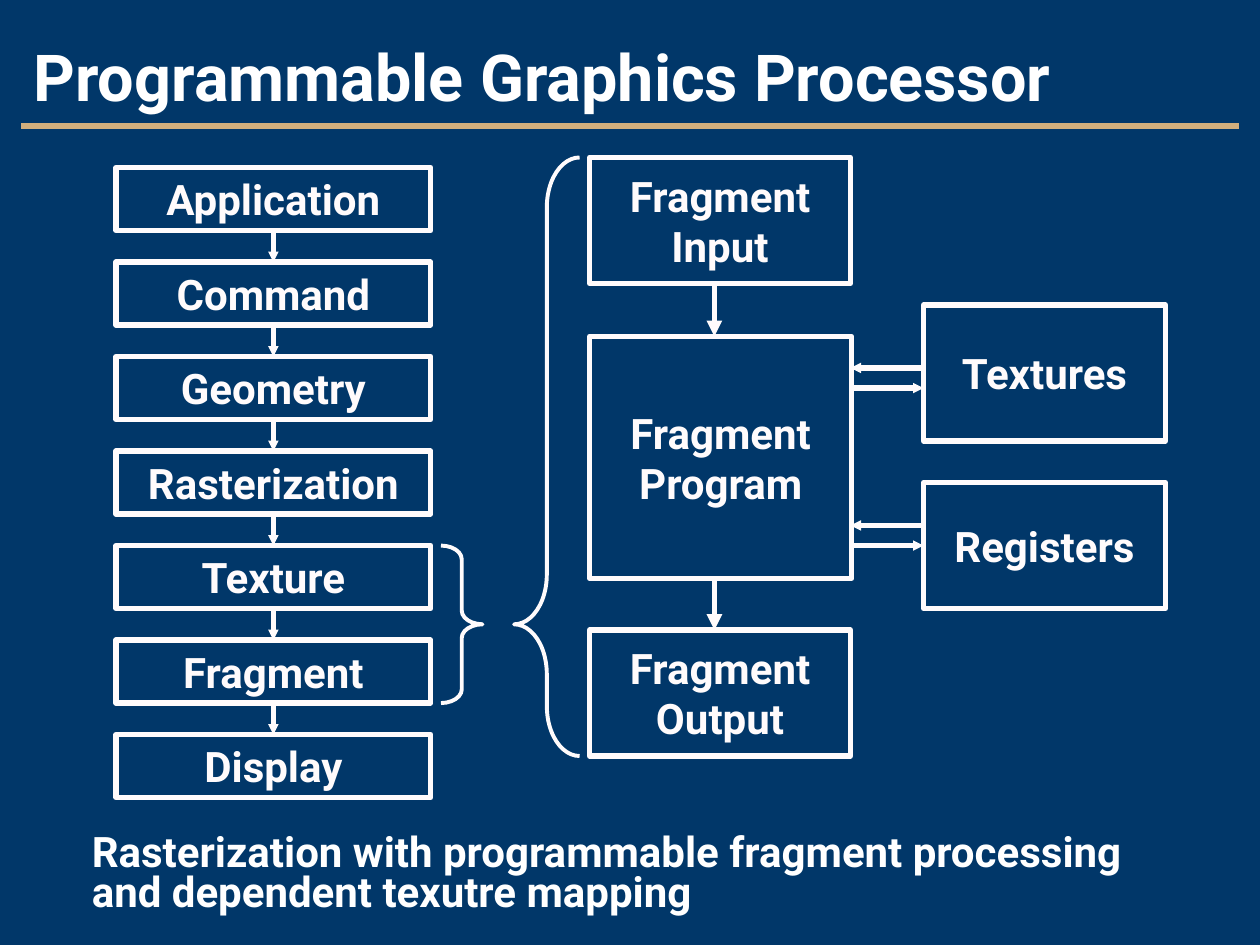
from itertools import pairwise

from lxml import etree
from pptx import Presentation
from pptx.dml.color import RGBColor
from pptx.enum.shapes import MSO_CONNECTOR, MSO_SHAPE
from pptx.enum.text import MSO_ANCHOR, PP_ALIGN
from pptx.oxml.ns import qn
from pptx.util import Inches, Pt

RECTANGLE = MSO_SHAPE.RECTANGLE
LEFT_BRACE, RIGHT_BRACE = MSO_SHAPE.LEFT_BRACE, MSO_SHAPE.RIGHT_BRACE
STRAIGHT = MSO_CONNECTOR.STRAIGHT
TOP, MIDDLE = MSO_ANCHOR.TOP, MSO_ANCHOR.MIDDLE
LEFT, CENTER = PP_ALIGN.LEFT, PP_ALIGN.CENTER
TOP_SIDE, LEFT_SIDE, BOTTOM_SIDE = 0, 1, 2


def color(value):
    return RGBColor.from_string(value)


def write(frame, text, size=24, ink="FFFBFC", font="Roboto", align=LEFT,
          anchor=TOP, spacing=1.0, wrap=True):
    frame.word_wrap = wrap
    frame.vertical_anchor = anchor
    for index, line in enumerate(text.split("\n")):
        paragraph = frame.add_paragraph() if index else frame.paragraphs[0]
        paragraph.alignment = align
        paragraph.line_spacing = spacing
        run = paragraph.add_run()
        run.text = line
        run.font.name = font
        run.font.size = Pt(size)
        run.font.bold = True
        run.font.color.rgb = color(ink)


class Diagram:
    background = "013769"
    ink = "FFFBFC"
    heading_ink = "FFFFFF"
    rule_ink = "D2AF7D"
    weight = 3

    def __init__(self, slide):
        self.slide = slide
        slide.background.fill.solid()
        slide.background.fill.fore_color.rgb = color(self.background)

    def outline(self, kind, bounds, weight):
        shape = self.slide.shapes.add_shape(kind, *map(Inches, bounds))
        shape.shadow.inherit = False
        shape.fill.background()
        shape.line.color.rgb = color(self.ink)
        shape.line.width = Pt(weight)
        return shape

    def box(self, label, *bounds):
        shape = self.outline(RECTANGLE, bounds, self.weight)
        write(shape.text_frame, label, ink=self.ink, align=CENTER,
              anchor=MIDDLE, wrap=False)
        return shape

    def brace(self, kind, bounds, curve, point):
        shape = self.outline(kind, bounds, 2.25)
        shape.adjustments[0] = curve
        shape.adjustments[1] = point

    def text(self, words, *bounds, **style):
        area = self.slide.shapes.add_textbox(*map(Inches, bounds))
        write(area.text_frame, words, ink=self.heading_ink, **style)

    def line(self, start, end, ink):
        connector = self.slide.shapes.add_connector(
            STRAIGHT, *map(Inches, start + end))
        connector.line.color.rgb = color(ink)
        connector.line.width = Pt(self.weight)
        etree.SubElement(connector._element.spPr, qn("a:effectLst"))
        return connector

    def rule(self, start, end):
        self.line(start, end, self.rule_ink)

    def arrow(self, start, end, head="sm"):
        connector = self.line(start, end, self.ink)
        etree.SubElement(connector.line._get_or_add_ln(), qn("a:tailEnd"),
                         type="triangle", w=head, len=head)
        return connector


def main():
    presentation = Presentation()
    presentation.slide_width = Inches(10)
    presentation.slide_height = Inches(7.5)
    diagram = Diagram(
        presentation.slides.add_slide(presentation.slide_layouts[6]))

    diagram.rule((0.17, 1), (9.83, 1))
    diagram.text("Programmable Graphics Processor", 0.17, 0.17, 9.67, 0.83,
                 size=37, anchor=MIDDLE, spacing=1.05)

    stages = ("Application", "Command", "Geometry", "Rasterization",
              "Texture", "Fragment", "Display")
    pipeline = [diagram.box(stage, 0.92, 1.33 + 0.75 * row, 2.5, 0.5)
                for row, stage in enumerate(stages)]
    for row, (source, target) in enumerate(pairwise(pipeline)):
        top = 1.83 + 0.75 * row
        flow = diagram.arrow((2.17, top), (2.17, top + 0.25))
        flow.begin_connect(source, BOTTOM_SIDE)
        flow.end_connect(target, TOP_SIDE)

    diagram.box("Textures", 7.33, 2.42, 1.92, 1.08)
    diagram.box("Fragment\nProgram", 4.68, 2.67, 2.08, 1.92)
    registers = diagram.box("Registers", 7.33, 3.83, 1.92, 1)
    diagram.box("Fragment\nInput", 4.68, 1.25, 2.07, 1)
    diagram.box("Fragment\nOutput", 4.68, 5, 2.07, 1)

    for read_y, write_y in ((2.92, 3.08), (4.17, 4.33)):
        diagram.arrow((7.33, read_y), (6.75, read_y))
        access = diagram.arrow((6.78, write_y), (7.33, write_y))
    access.end_connect(registers, LEFT_SIDE)

    for top, bottom in ((2.25, 2.67), (4.58, 5)):
        diagram.arrow((5.67, top), (5.67, bottom), head="med")

    diagram.brace(LEFT_BRACE, (4.08, 1.25, 0.52, 4.75), 0.76, 0.78)
    diagram.brace(RIGHT_BRACE, (3.5, 4.33, 0.33, 1.25), 0.33, 0.5)

    diagram.text("Rasterization with programmable fragment processing\n"
                 "and dependent texutre mapping",
                 0.63, 6.58, 8.75, 0.85, spacing=0.8)

    presentation.save("out.pptx")


if __name__ == "__main__":
    main()
